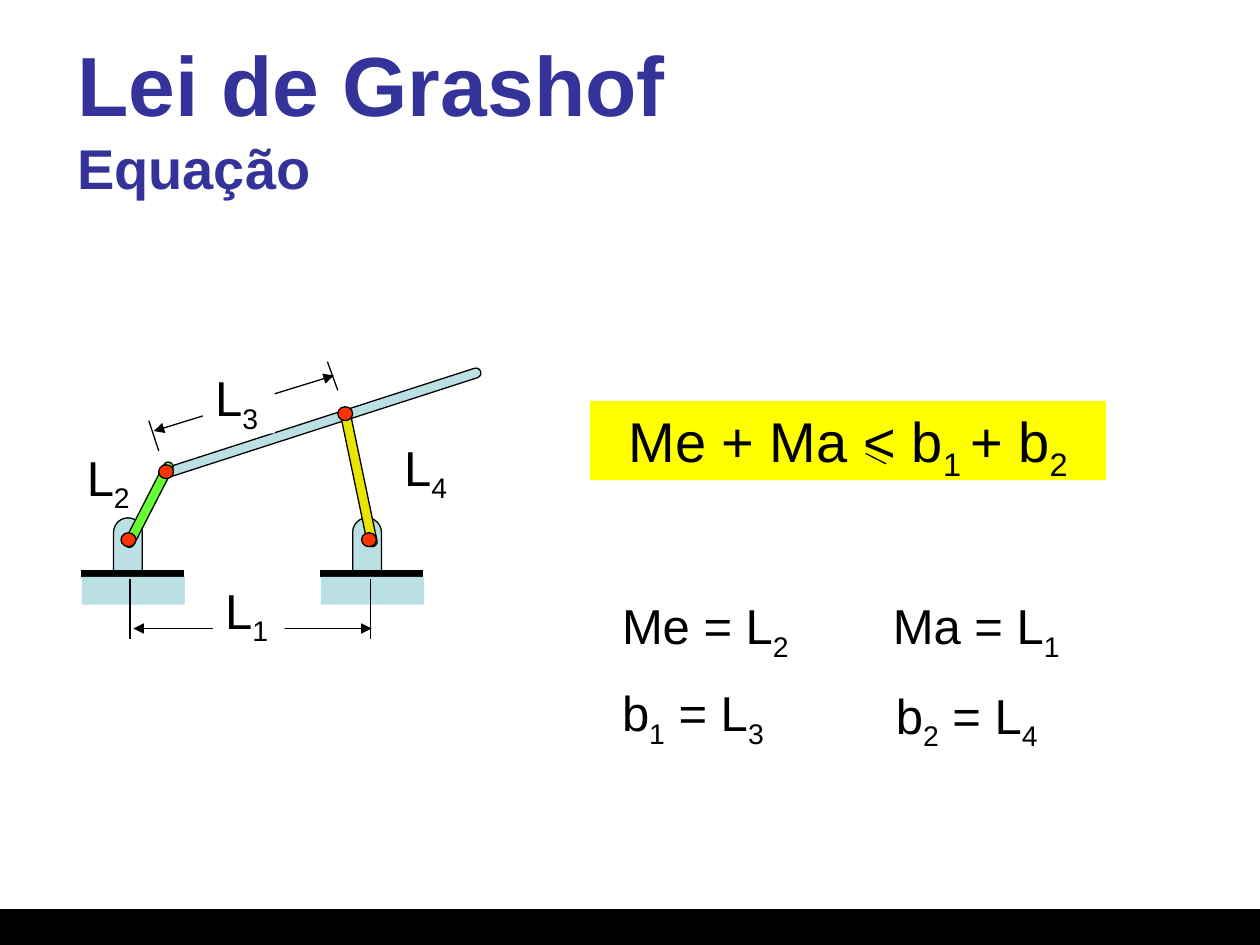
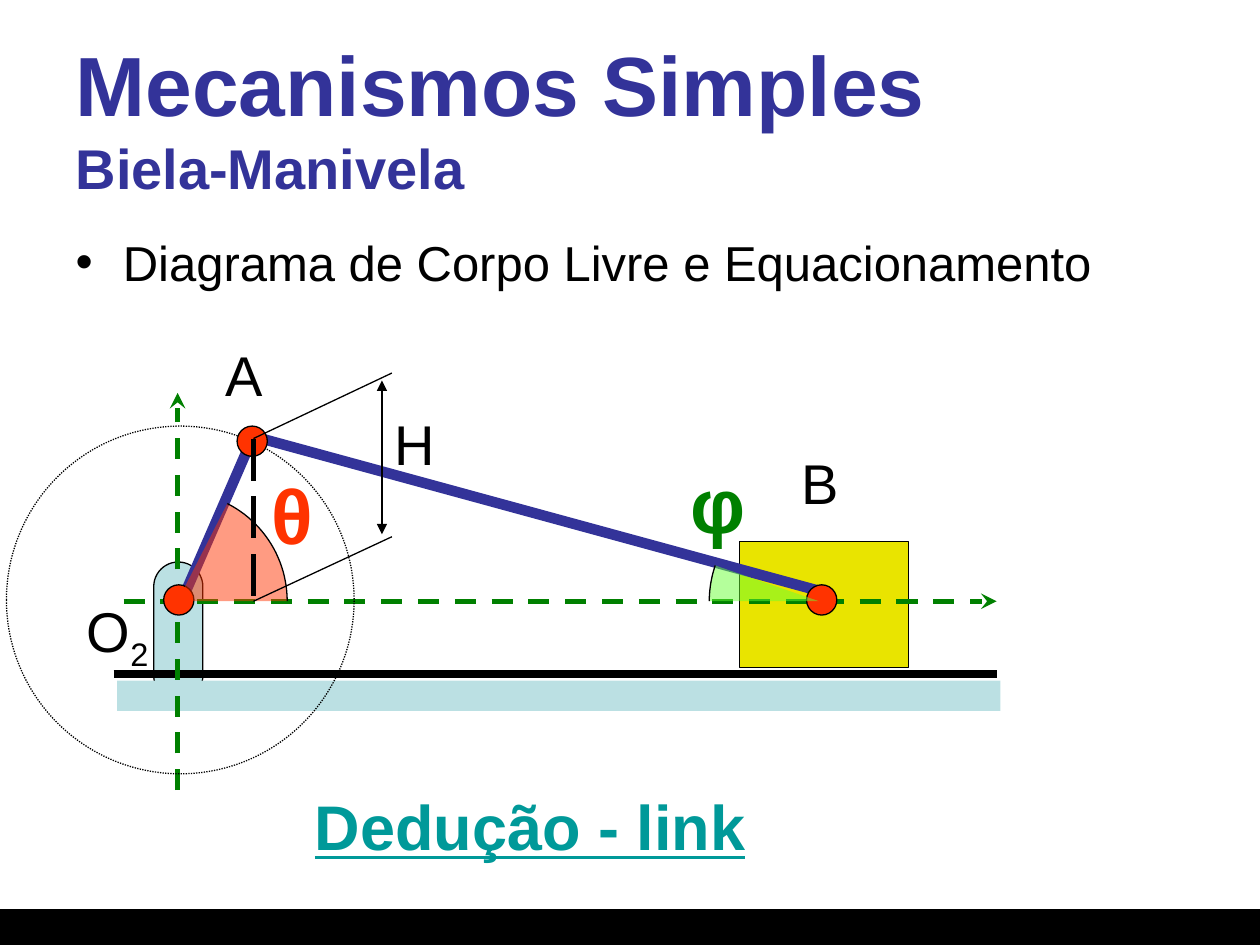
import math

import pptx
import pptx.dml.color
import pptx.enum.dml
import pptx.enum.shapes
import pptx.enum.text
import pptx.oxml
import pptx.oxml.ns
import pptx.util

Cm = pptx.util.Cm
Pt = pptx.util.Pt
kinds = pptx.enum.shapes.MSO_SHAPE
dashes = pptx.enum.dml.MSO_LINE
fit = pptx.enum.text.MSO_AUTO_SIZE
align = pptx.enum.text.PP_ALIGN
qn = pptx.oxml.ns.qn
hue = pptx.dml.color.RGBColor.from_string

# Shared colours
BLACK, WHITE, NAVY, STEEL = "000000", "FFFFFF", "333399", "BBE0E3"
RED, LIME, GOLD, GREEN, TEAL = "FF3300", "66FF33", "E9E400", "008000", "009999"


def shape(page, kind, box, fill=None, edge=BLACK, turn=0):
    part = page.shapes.add_shape(kind, *map(Cm, box))
    part.shadow.inherit = False
    part.rotation = turn
    if kind == kinds.ROUNDED_RECTANGLE:
        part.adjustments[0] = 0.5
    if fill:
        part.fill.solid()
        part.fill.fore_color.rgb = hue(fill)
    else:
        part.fill.background()
    if edge:
        part.line.color.rgb = hue(edge)
        part.line.width = Pt(0.75)
    else:
        part.line.fill.background()
    return part


def line(page, ends, color=BLACK, width=0.75, dash=None, head=None, tail=None):
    part = page.shapes.add_connector(
        pptx.enum.shapes.MSO_CONNECTOR.STRAIGHT, *map(Cm, ends))
    part.line.color.rgb = hue(color)
    part.line.width = Pt(width)
    if dash:
        part.line.dash_style = dash
    props = part.element.spPr
    stroke = props.find(qn("a:ln"))
    for tag, tip in (("a:headEnd", head), ("a:tailEnd", tail)):
        if tip:
            stroke.append(pptx.oxml.parse_xml(
                f'<{tag} {pptx.oxml.ns.nsdecls("a")} type="{tip}"/>'))
    props.append(pptx.oxml.parse_xml(
        f'<a:effectLst {pptx.oxml.ns.nsdecls("a")}/>'))


deck = pptx.Presentation()
deck.slide_width, deck.slide_height = Cm(25.4), Cm(19.05)
law = deck.slides.add_slide(deck.slide_layouts[5])
crank = deck.slides.add_slide(deck.slide_layouts[1])
runs = []  # each: run, colour, font values

# Black band at the foot, kept on the master
band = shape(law, kinds.RECTANGLE, (0, 18.34, 25.4, 0.71), BLACK)
band.element.nvSpPr.cNvPr.set("id", "20")
deck.slide_master.shapes.element.append(band.element)

# Titles
for page, left, wide, head, sub in (
        (law, 1.3, 23.39, "Lei de Grashof", "Equação"),
        (crank, 1.27, 22.86, "Mecanismos Simples", "Biela-Manivela")):
    title = page.shapes.title
    title.left, title.top = Cm(left), Cm(0.76)
    title.width, title.height = Cm(wide), Cm(3.18)
    title.text_frame.auto_size = fit.NONE
    title.text_frame.vertical_anchor = pptx.enum.text.MSO_ANCHOR.MIDDLE
    para = title.text_frame.paragraphs[0]
    para.alignment = align.LEFT
    for text, size in ((head, 48), (sub, 32)):
        if text == sub:
            para.add_line_break()
        run = para.add_run()
        run.text = text
        runs.append((run, NAVY, {"size": Pt(size), "bold": True}))

# Bullet list of the second slide
body = crank.placeholders[1]
body.left, body.top, body.width, body.height = map(Cm, (1.27, 4.55, 22.43, 12.57))
body.text_frame.auto_size = fit.NONE
para = body.text_frame.paragraphs[0]
para.space_before = Pt(0)
run = para.add_run()
run.text = "Diagrama de Corpo Livre e Equacionamento"
runs.append((run, BLACK, {"size": Pt(28)}))

# Four-bar linkage: two supports on the ground
for step in (0, 4.82):
    shape(law, kinds.ROUNDED_RECTANGLE, (2.29 + step, 10.44, 0.58, 1.65), STEEL)
    line(law, (1.63 + step, 11.56, 3.71 + step, 11.56), width=4.5)
    shape(law, kinds.RECTANGLE, (1.65 + step, 11.63, 2.08, 0.56), STEEL, None)

# Four-bar linkage: bars and pins
for box, fill, turn in (
        ((6.35, 5.13, 0.2, 6.81), STEEL, 72.1),
        ((2.9, 9.22, 0.2, 1.91), LIME, 207.2),
        ((7.14, 8.28, 0.2, 2.77), GOLD, 348.2)):
    shape(law, kinds.ROUNDED_RECTANGLE, box, fill, turn=turn)
for left, top in ((2.44, 10.74), (6.81, 8.2), (3.2, 9.37), (7.29, 10.74)):
    shape(law, kinds.OVAL, (left, top, 0.3, 0.28), RED)

# Four-bar linkage: dimension lines
for ends in ((2.62, 11.68, 2.62, 12.88), (7.47, 11.68, 7.47, 12.88),
             (3, 8.48, 3.2, 9.09), (6.6, 7.29, 6.81, 7.87)):
    line(law, ends)
for ends in ((2.69, 12.67, 7.49, 12.67), (3.1, 8.69, 6.73, 7.57)):
    line(law, ends, head="triangle", tail="triangle")

# Slider-crank: support, ground and slider
shape(crank, kinds.ROUNDED_RECTANGLE, (3.1, 11.33, 0.99, 2.79), STEEL)
line(crank, (2.29, 13.59, 20.09, 13.59), width=4.5)
shape(crank, kinds.RECTANGLE, (2.36, 13.72, 17.81, 0.61), STEEL, None)
shape(crank, kinds.RECTANGLE, (14.91, 10.92, 3.4, 2.54), GOLD)

# Slider-crank: axes, path of the crank, bars and pins
for ends in ((2.49, 12.12, 20.09, 12.12), (3.58, 15.93, 3.58, 7.92)):
    line(crank, ends, GREEN, 3, dashes.DASH, tail="stealth")
ring = shape(crank, kinds.OVAL, (0.13, 8.59, 7.01, 7.01))
ring.line.dash_style = dashes.ROUND_DOT
for ends in ((3.66, 12.12, 5.05, 8.92), (4.9, 8.74, 16.51, 11.91)):
    line(crank, ends, NAVY, 6)
for left, top in ((4.78, 8.59), (3.3, 11.79), (16.26, 11.79)):
    shape(crank, kinds.OVAL, (left, top, 0.61, 0.61), RED)

# Slider-crank: angle sectors, a clear wedge and the arc that bounds it
reach = 2.21
for hub, start, stop, fill in ((3.58, 0, 63, RED), (16.51, 161, 180, LIME)):
    arc = []
    for k in range(25):
        turn = math.radians(start + (stop - start) * k / 24)
        arc.append((Cm(hub + reach * math.cos(turn)),
                    Cm(12.12 - reach * math.sin(turn))))
    for solid in (True, False):
        pen = crank.shapes.build_freeform(*arc[0])
        tip = [(Cm(hub), Cm(12.12))] if solid else []
        pen.add_line_segments(arc[1:] + tip, close=solid)
        part = pen.convert_to_shape()
        part.shadow.inherit = False
        if solid:
            part.fill.solid()
            part.fill.fore_color.rgb = hue(fill)
            part.line.fill.background()
            tint = part.element.spPr.find(qn("a:solidFill"))[0]
            tint.append(pptx.oxml.parse_xml(
                f'<a:alpha {pptx.oxml.ns.nsdecls("a")} val="49000"/>'))
        else:
            part.fill.background()
            part.line.color.rgb = hue(BLACK)
            part.line.width = Pt(0.75)

# Slider-crank: height H
line(crank, (5.11, 8.84, 5.11, 12.12), width=3, dash=dashes.LONG_DASH)
line(crank, (7.9, 7.52, 5.11, 8.84))
line(crank, (7.7, 10.77, 7.7, 7.67), head="triangle", tail="triangle")
line(crank, (7.9, 10.82, 5.11, 12.12))

# Labels; text between underscores is set below the line
small, large = {"size": Pt(28)}, {"size": Pt(32)}
angle = {"size": Pt(44), "bold": True}
note = {"size": Pt(36), "bold": True, "underline": True}
for page, text, box, color, fill, form in (
        (law, "L_2", (1.5, 8.89, 1.45, 1.45), BLACK, None, small),
        (law, "L_4", (7.9, 8.69, 1.45, 1.45), BLACK, None, small),
        (law, "L_1", (4.29, 11.58, 1.45, 1.45), BLACK, WHITE, small),
        (law, "L_3", (4.09, 7.29, 1.45, 1.45), BLACK, WHITE, small),
        (law, "Me + Ma < b_1 _+ b_2", (11.89, 8.08, 10.41, 1.6), BLACK, "FFFF00", large),
        (law, "Me = L_2", (12.29, 11.89, 3.94, 1.45), BLACK, None, small),
        (law, "b_1_ = L_3", (12.29, 13.64, 3.48, 1.45), BLACK, None, small),
        (law, "Ma = L_1", (17.75, 11.89, 3.94, 1.45), BLACK, None, small),
        (law, "b_2_ = L_4", (17.81, 13.69, 3.48, 1.45), BLACK, None, small),
        (crank, "O_2", (1.5, 11.91, 1.8, 1.6), BLACK, None, large),
        (crank, "A", (4.29, 6.73, 1.27, 1.6), BLACK, None, large),
        (crank, "B", (15.9, 8.92, 1.27, 1.6), BLACK, None, large),
        (crank, "H", (7.7, 8.13, 1.32, 1.6), BLACK, None, large),
        (crank, "θ", (5.23, 9.3, 1.32, 2.11), RED, None, angle),
        (crank, "φ", (13.67, 9.07, 1.32, 2.11), GREEN, None, angle),
        (crank, "Dedução - link", (6.1, 15.75, 9.27, 1.8), TEAL, None, note)):
    part = page.shapes.add_textbox(*map(Cm, box))
    wide = fill not in (None, WHITE)
    part.text_frame.word_wrap = wide
    part.text_frame.auto_size = fit.SHAPE_TO_FIT_TEXT
    if fill:
        part.fill.solid()
        part.fill.fore_color.rgb = hue(fill)
    para = part.text_frame.paragraphs[0]
    para.alignment = align.CENTER if wide else align.LEFT
    for k, piece in enumerate(text.split("_")):
        run = para.add_run()
        run.text = piece
        if k % 2:
            run.font._element.set("baseline", "-25000")
        runs.append((run, color, form))

# Stroke that turns "<" into "less than or equal"
line(law, (17.45, 9.14, 17.86, 9.35))

# Fonts of all the text
for run, color, form in runs:
    run.font.color.rgb = hue(color)
    for key, value in {"name": "Arial", **form}.items():
        setattr(run.font, key, value)

deck.save("out.pptx")
